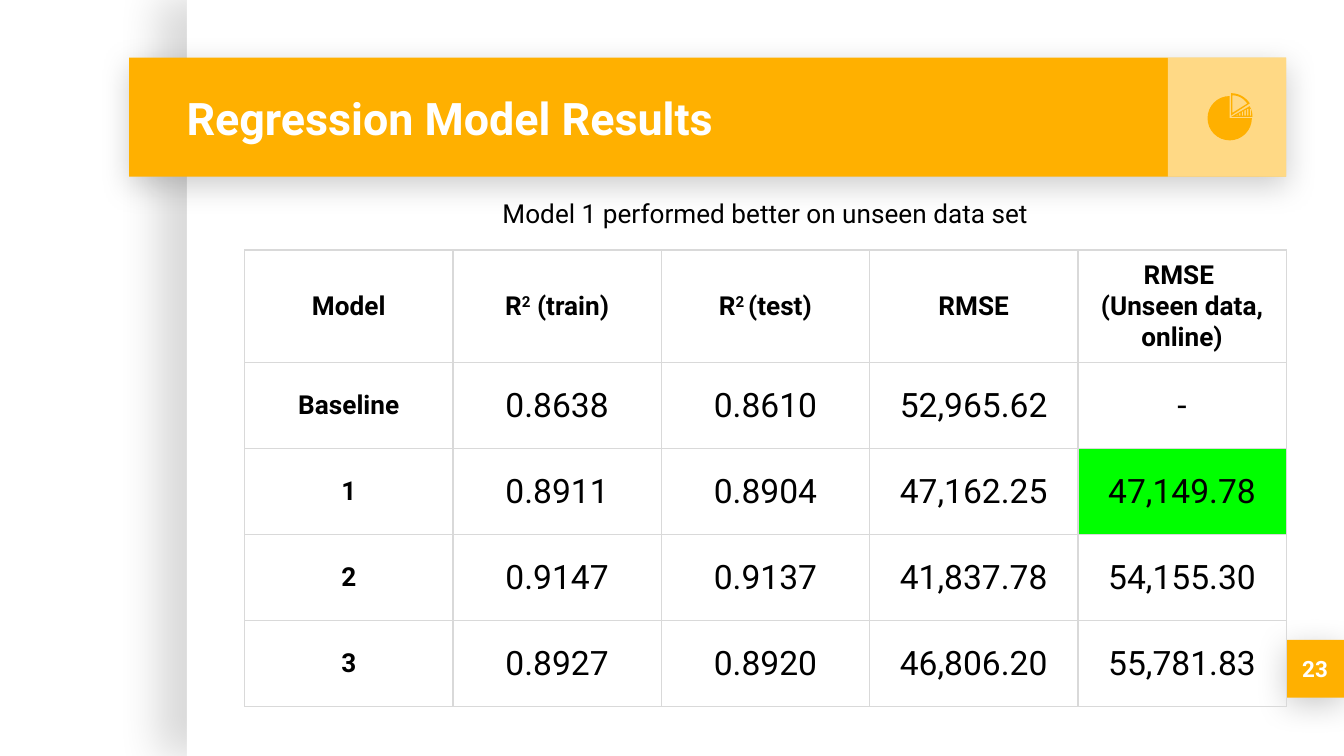
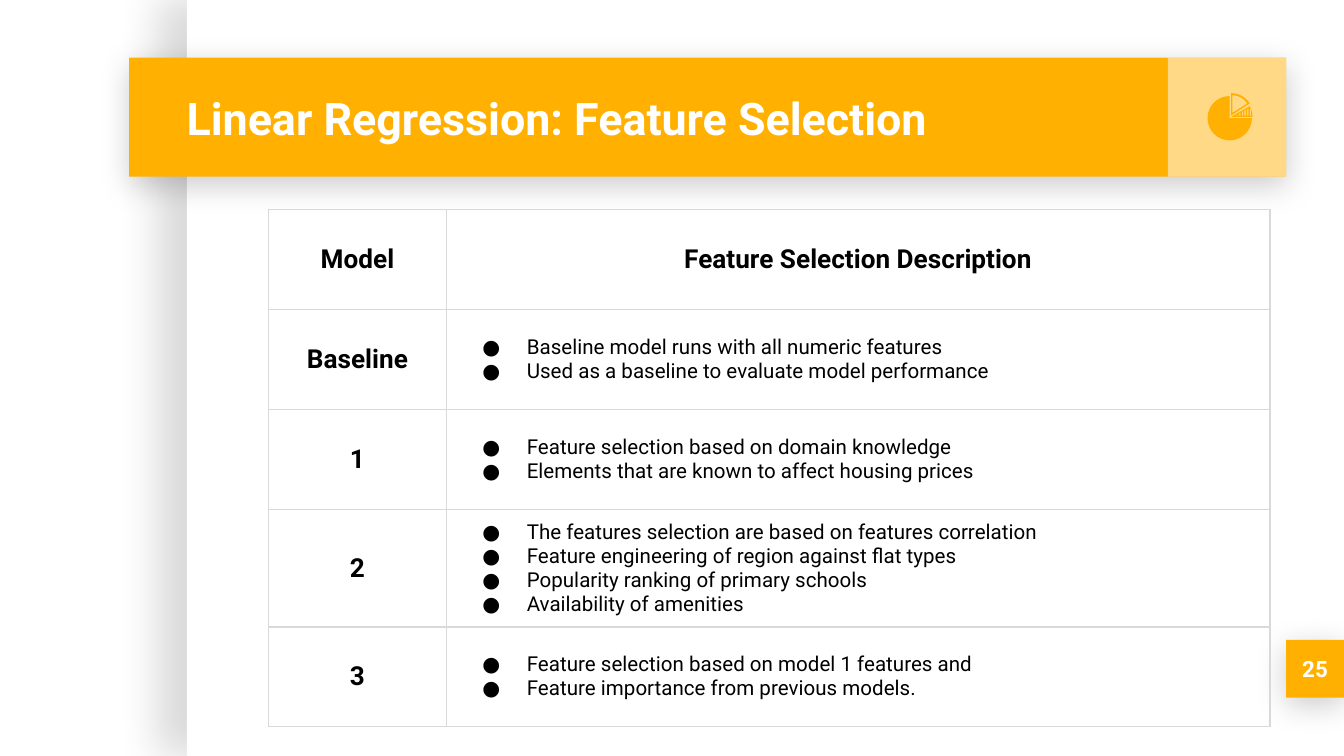
from math import cos, radians, sin
from typing import NamedTuple

from lxml import etree
from pptx import Presentation
from pptx import util as u
from pptx.dml import color
from pptx.enum import shapes, text
from pptx.oxml import ns

WIDE, HIGH = u.Inches(10), u.Inches(5.625)
FONT = "Roboto"
GOLD, WHITE, BLACK, GREY, GREEN = "FFB000", "FFFFFF", "000000", "D9D9D9", "00FF00"
MID, LEFT = text.PP_ALIGN.CENTER, text.PP_ALIGN.LEFT


def share(part: float) -> int:
    """Turn a hundredth of the slide's width into EMU; used on both axes."""
    return round(WIDE * part / 100)


class Box(NamedTuple):
    x: float
    y: float
    w: float
    h: float

    def emu(self) -> list[int]:
        return [share(part) for part in self]


class Shade(NamedTuple):
    alpha: int
    blur: float
    dist: float
    angle: int


class Bit(NamedTuple):
    words: str
    size: float = 14
    bold: bool = False
    tint: str = BLACK
    rise: int = 0


class Cell(NamedTuple):
    lines: list[list[Bit]]
    fill: str = ""
    bullet: bool = False


class Grid(NamedTuple):
    x: float
    y: float
    cols: list[float]
    rows: list[float]
    cells: list[list[Cell]]


class Page(NamedTuple):
    title: str
    number: str
    grid: Grid
    note: str = ""


SHEET = Box(13.9, 0, 86.1, 56.25)
BADGE = Box(95.7, 47.62, 4.3, 4.3)
BAND = Box(9.6, 4.3, 86.1, 8.85)
TILE = Box(86.9, 4.3, 8.8, 8.85)
TITLE = Box(12.9, 4.3, 73.7, 8.85)
NOTE = Box(29.2, 13.7, 55.5, 4.4)
SIDE = Shade(15, 22.5, 15, 180)
DROP = Shade(20, 16.9, 3.8, 90)


def rgb(code: str) -> color.RGBColor:
    return color.RGBColor.from_string(code)


def child(parent, tag: str, **attrs):
    node = etree.SubElement(parent, ns.qn(tag))
    for key, value in attrs.items():
        node.set(key, str(value))
    return node


def write(para, bits: list[Bit], align) -> None:
    para.alignment = align
    for bit in bits:
        run = para.add_run()
        run.text = bit.words
        run.font.name = FONT
        run.font.size = u.Pt(bit.size)
        run.font.bold = bit.bold
        run.font.color.rgb = rgb(bit.tint)
        if bit.rise:
            run.font._element.set("baseline", str(bit.rise * 1000))


def label(shape, bit: Bit, align, anchor) -> None:
    frame = shape.text_frame
    frame.word_wrap = True
    frame.vertical_anchor = anchor
    frame.margin_left = frame.margin_right = u.Inches(0.1)
    frame.margin_top = frame.margin_bottom = u.Inches(0.1)
    write(frame.paragraphs[0], [bit], align)


def panel(slide, box: Box, fill: str, shade: Shade | None = None, alpha: int = 100):
    """Draw a plain rectangle with an optional soft shadow and opacity."""
    shape = slide.shapes.add_shape(shapes.MSO_SHAPE.RECTANGLE, *box.emu())
    shape.fill.solid()
    shape.fill.fore_color.rgb = rgb(fill)
    shape.line.fill.background()
    shape.shadow.inherit = False
    props = shape._element.spPr
    if alpha < 100:
        tint = props.find(ns.qn("a:solidFill"))[0]
        child(tint, "a:alpha", val=alpha * 1000)
    if shade:
        glow = child(props.find(ns.qn("a:effectLst")), "a:outerShdw",
                     blurRad=u.Pt(shade.blur), dist=u.Pt(shade.dist),
                     dir=shade.angle * 60000, algn="bl", rotWithShape=0)
        tint = child(glow, "a:srgbClr", val=BLACK)
        child(tint, "a:alpha", val=shade.alpha * 1000)
    return shape


def wedge(x: float, y: float, size: float, start: int, end: int) -> list:
    """Return the outline of a pie slice, angles running clockwise from the right."""
    steps = 24
    turns = [radians(start + (end - start) * k / steps) for k in range(steps + 1)]
    return [(x, y)] + [(x + size * cos(t), y + size * sin(t)) for t in turns]


def bar(k: int) -> list:
    """Return the outline of one gap between the stripes of the small slice."""
    left = 92 + 0.2 * k
    right = left + 0.1
    tops = [max(8.1, 8.8 - 0.58 * (x - 91.6)) for x in (left, right)]
    return [(left, 8.6), (left, tops[0]), (right, tops[1]), (right, 8.6)]


def icon(slide) -> None:
    parts = [
        [wedge(91.5, 8.8, 1.65, 0, 270)],
        [wedge(91.6, 8.7, 1.6, -30, 0)] + [bar(k) for k in range(6)],
        [wedge(91.6, 8.6, 1.66, -90, -33), wedge(91.7, 8.4, 1.3, -90, -32)],
    ]
    group = slide.shapes.add_group_shape()
    for loops in parts:
        paths = [[(share(x), share(y)) for x, y in loop] for loop in loops]
        pen = group.shapes.build_freeform(*paths[0][0], scale=1.0)
        pen.add_line_segments(paths[0][1:], close=True)
        for loop in paths[1:]:
            pen.move_to(*loop[0])
            pen.add_line_segments(loop[1:], close=True)
        shape = pen.convert_to_shape()
        shape.fill.solid()
        shape.fill.fore_color.rgb = rgb(GOLD)
        shape.line.fill.background()
        shape.shadow.inherit = False


def edge(cell) -> None:
    """Give a cell thin grey borders on all four sides."""
    props = cell._tc.get_or_add_tcPr()
    for tag in ("a:lnL", "a:lnR", "a:lnT", "a:lnB"):
        line = child(props, tag, w=u.Pt(0.75))
        child(child(line, "a:solidFill"), "a:srgbClr", val=GREY)


def dot(para) -> None:
    props = para._p.get_or_add_pPr()
    props.set("marL", str(u.Inches(0.5)))
    props.set("indent", str(u.Inches(-0.33)))
    child(child(props, "a:buClr"), "a:srgbClr", val=BLACK)
    child(props, "a:buFont", typeface=FONT)
    child(props, "a:buChar", char="●")


def fill_cell(cell, data: Cell) -> None:
    edge(cell)
    if data.fill:
        cell.fill.solid()
        cell.fill.fore_color.rgb = rgb(data.fill)
    else:
        cell.fill.background()
    cell.vertical_anchor = text.MSO_ANCHOR.MIDDLE
    cell.margin_left = cell.margin_right = u.Inches(0.1)
    cell.margin_top = cell.margin_bottom = u.Inches(0.07)
    frame = cell.text_frame
    for k, bits in enumerate(data.lines):
        para = frame.add_paragraph() if k else frame.paragraphs[0]
        if data.bullet:
            dot(para)
        write(para, bits, LEFT if data.bullet else MID)


def table(slide, grid: Grid) -> None:
    box = Box(grid.x, grid.y, sum(grid.cols), sum(grid.rows))
    made = slide.shapes.add_table(len(grid.rows), len(grid.cols), *box.emu()).table
    made.first_row = made.horz_banding = False
    for col, part in zip(made.columns, grid.cols):
        col.width = share(part)
    for row, part, cells in zip(made.rows, grid.rows, grid.cells):
        row.height = share(part)
        for cell, data in zip(row.cells, cells):
            fill_cell(cell, data)


def head(*lines: str) -> Cell:
    return Cell([[Bit(line, bold=True)] for line in lines])


def square(power: str, rest: str) -> Cell:
    """Make a heading with R raised to a power."""
    return Cell([[Bit("R", bold=True), Bit(power, bold=True, rise=30),
                  Bit(rest, bold=True)]])


def score(value: str, fill: str = "") -> Cell:
    return Cell([[Bit(value, 18)]], fill)


def points(*lines: str) -> Cell:
    return Cell([[Bit(line, 11)] for line in lines], bullet=True)


BEST = "47,149.78"
SCORES = {
    "Baseline": ["0.8638", "0.8610", "52,965.62", "-"],
    "1": ["0.8911", "0.8904", "47,162.25", BEST],
    "2": ["0.9147", "0.9137", "41,837.78", "54,155.30"],
    "3": ["0.8927", "0.8920", "46,806.20", "55,781.83"],
}
CHOICES = {
    "Baseline": ["Baseline model runs with all numeric features",
                 "Used as a baseline to evaluate model performance"],
    "1": ["Feature selection based on domain knowledge",
          "Elements that are known to affect housing prices"],
    "2": ["The features selection are based on features correlation",
          "Feature engineering of region against flat types",
          "Popularity ranking of primary schools",
          "Availability of amenities"],
    "3": ["Feature selection based on model 1 features and",
          "Feature importance from previous models."],
}
RESULTS = Grid(
    18.2, 18.6, [15.5] * 5, [6.4] * 5,
    [[head("Model"), square("2", " (train)"), square("2 ", "(test)"), head("RMSE"),
      head("RMSE ", "(Unseen data, online)")]]
    + [[head(name)] + [score(v, GREEN if v == BEST else "") for v in values]
       for name, values in SCORES.items()])
FEATURES = Grid(
    20, 15.6, [13.2, 61.3], [7.44, 7.44, 7.44, 8.6, 7.44],
    [[head("Model"), head("Feature Selection Description")]]
    + [[head(name), points(*lines)] for name, lines in CHOICES.items()])
PAGES = [
    Page("Regression Model Results", "23", RESULTS,
         "Model 1 performed better on unseen data set"),
    Page("Linear Regression: Feature Selection", "25", FEATURES),
]


def draw(slide, page: Page) -> None:
    middle = text.MSO_ANCHOR.MIDDLE
    panel(slide, SHEET, WHITE, SIDE)
    badge = panel(slide, BADGE, GOLD, DROP)
    label(badge, Bit(page.number, 12, True, WHITE), MID, middle)
    panel(slide, BAND, GOLD, DROP)
    panel(slide, TILE, WHITE, alpha=52)
    title = slide.shapes.add_textbox(*TITLE.emu())
    label(title, Bit(page.title, 24, True, WHITE), LEFT, middle)
    table(slide, page.grid)
    icon(slide)
    if page.note:
        note = slide.shapes.add_textbox(*NOTE.emu())
        label(note, Bit(page.note), MID, text.MSO_ANCHOR.TOP)


def main() -> None:
    deck = Presentation()
    deck.slide_width, deck.slide_height = WIDE, HIGH
    for page in PAGES:
        draw(deck.slides.add_slide(deck.slide_layouts[6]), page)
    deck.save("out.pptx")


if __name__ == "__main__":
    main()
